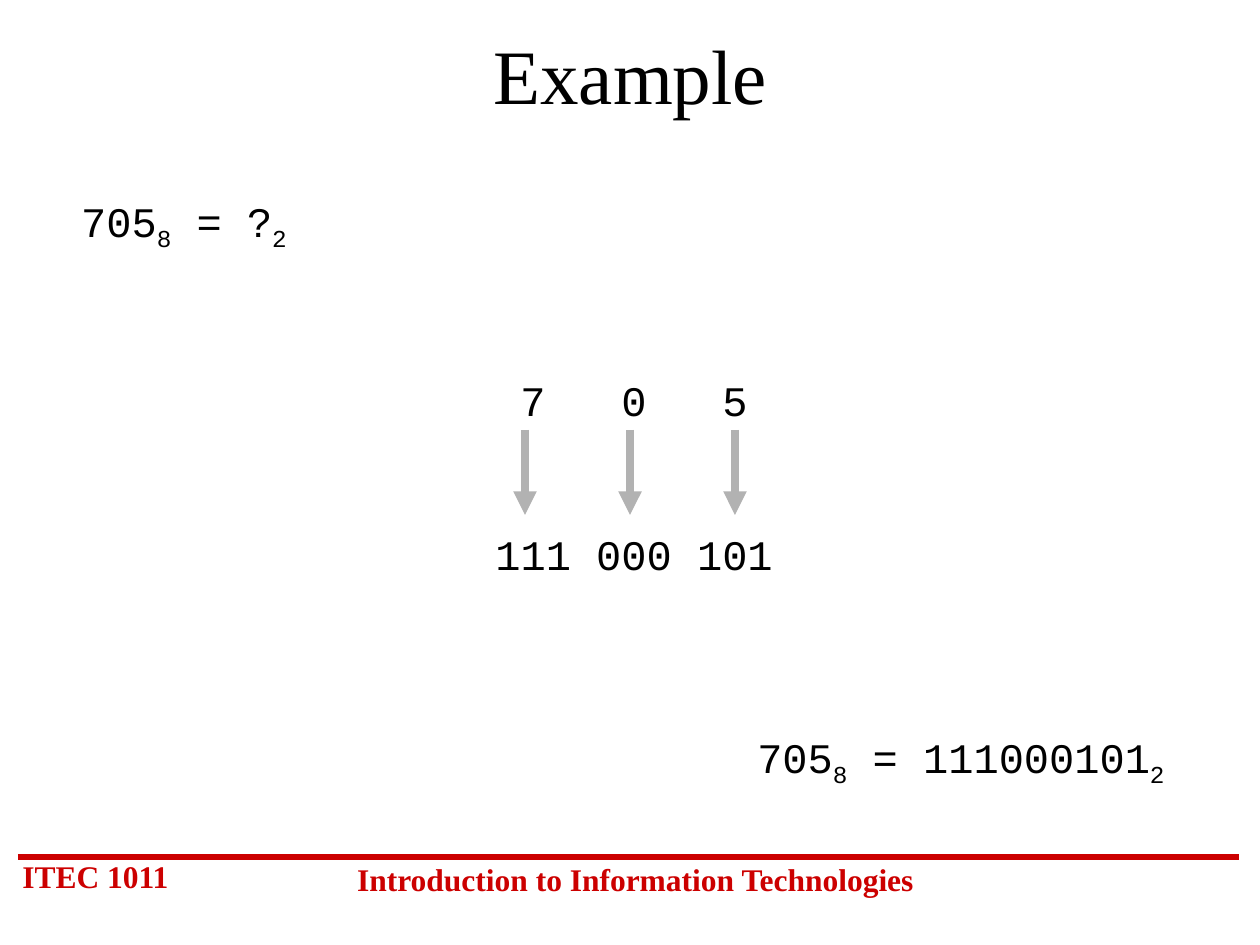
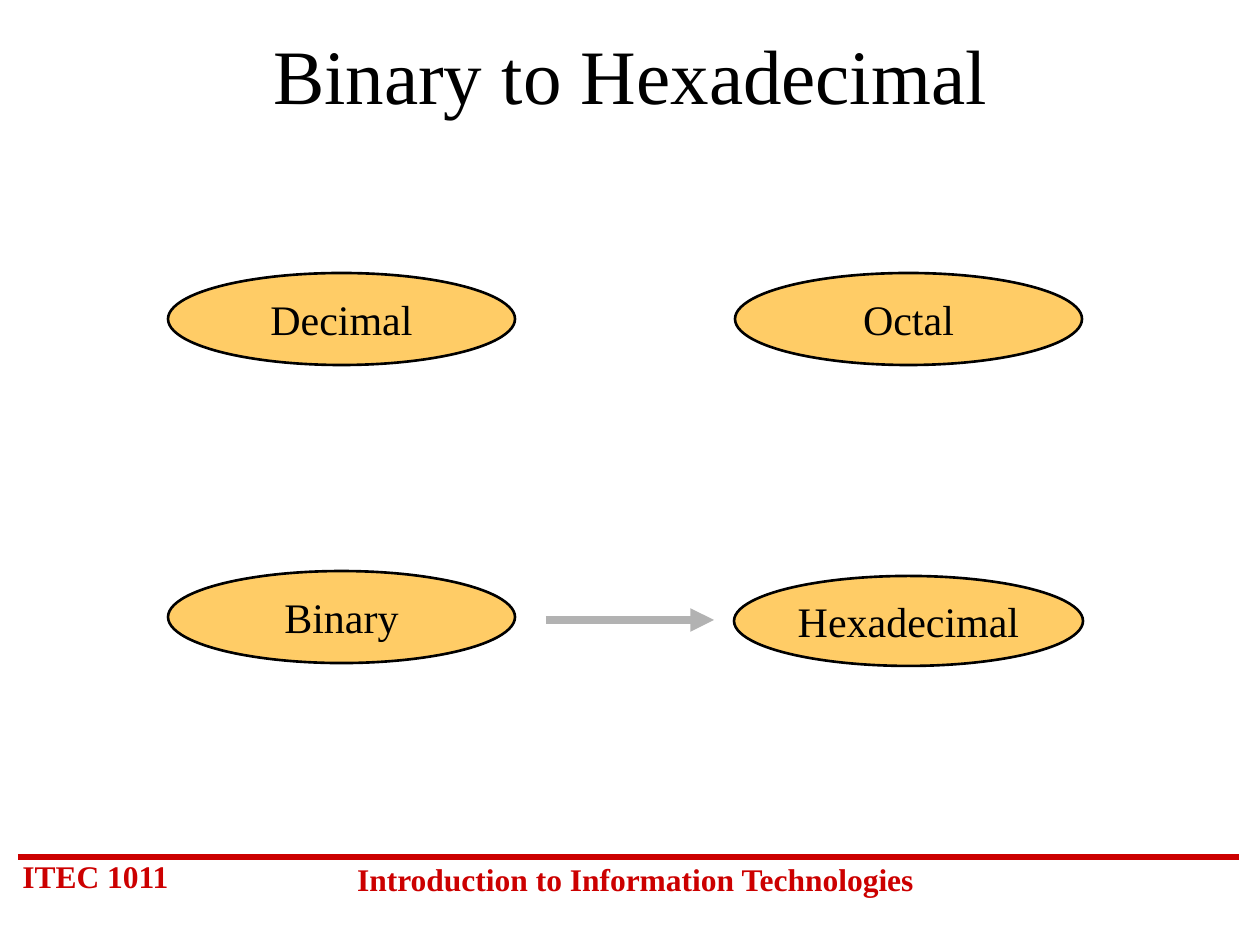
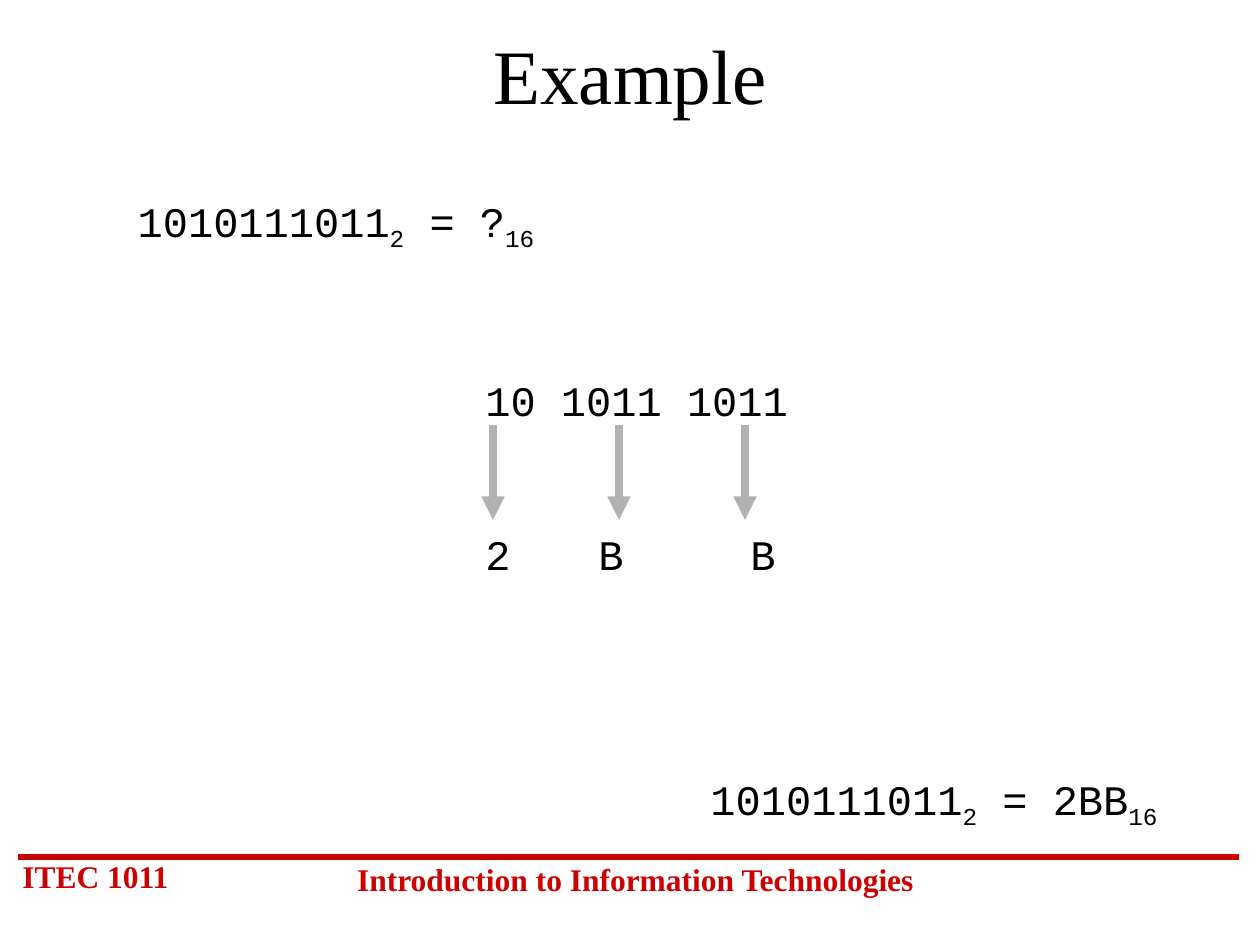
"""Build three slides on converting between number bases."""
import pptx
import pptx.dml.color
import pptx.enum.shapes
import pptx.enum.text
import pptx.oxml.ns
import pptx.util
from lxml import etree

COLORS = {"black": "000000", "red": "CC0000", "gray": "B2B2B2", "amber": "FFCC66"}
SERIF, MONO = "Times New Roman", "Courier New"
ALIGN = pptx.enum.text.PP_ALIGN
WIDTH, HEIGHT = 1260, 945
ROW_TOPS = (368, 522)

FOOTERS = [
    ("ITEC 1011", (10, 851, 189, 50), ALIGN.LEFT),
    ("Introduction to Information Technologies", (336, 854, 599, 50), ALIGN.CENTER),
]
OCTAL_EXAMPLE = {
    "title": "Example",
    "equations": [
        ([("705", "8"), (" = ?", "2")], (42, 189, 284, 71)),
        ([("705", "8"), (" = 111000101", "2")], (714, 725, 494, 71)),
    ],
    "rows_left": 483,
    "rows": [("\t7\t0\t5", (25, 126, 227)), ("111 000 101", ())],
    "arrows": {"left": 525, "step": 105, "top": 430, "bottom": 515},
}
HEX_EXAMPLE = {
    "title": "Example",
    "equations": [
        ([("1010111011", "2"), (" = ?", "16")], (42, 189, 588, 71)),
        ([("1010111011", "2"), (" = 2BB", "16")], (640, 767, 588, 71)),
    ],
    "rows_left": 473,
    "rows": [("10 1011 1011", ()), ("2\tB\tB", (113, 265))],
    "arrows": {"left": 493, "step": 126, "top": 425, "bottom": 520},
}
BASES = [
    ("Hexadecimal", (734, 576, 349, 90)),
    ("Decimal", (168, 273, 347, 92)),
    ("Octal", (735, 273, 347, 92)),
    ("Binary", (168, 571, 347, 92)),
]


def px(n):
    return pptx.util.Emu(round(n * 914400 / 126))


def rgb(name):
    return pptx.dml.color.RGBColor.from_string(COLORS[name])


def write(tf, text, size=24, font=MONO, color="black", bold=False,
          align=ALIGN.LEFT, before=0, tabs=()):
    """Write one paragraph from a string or from (base, subscript) pairs."""
    p = tf.paragraphs[0]
    p.alignment = align
    p.space_before = pptx.util.Pt(before)
    if tabs:
        tab_list = etree.SubElement(p._p.get_or_add_pPr(), pptx.oxml.ns.qn("a:tabLst"))
        for tab in tabs:
            etree.SubElement(tab_list, pptx.oxml.ns.qn("a:tab"), pos=str(px(tab)), algn="l")
    for part in [(text, "")] if isinstance(text, str) else text:
        for content, baseline in zip(part, (None, "-25000")):
            if not content:
                continue
            r = p.add_run()
            r.text = content
            r.font.size = pptx.util.Pt(size)
            r.font.name = font
            r.font.bold = bold
            r.font.color.rgb = rgb(color)
            if baseline:
                r.font._element.set("baseline", baseline)


def add_text(s, text, box, anchor=None, **fmt):
    tf = s.shapes.add_textbox(*map(px, box)).text_frame
    tf.word_wrap = True
    if anchor is None:
        tf.auto_size = pptx.enum.text.MSO_AUTO_SIZE.SHAPE_TO_FIT_TEXT
    else:
        tf.vertical_anchor = anchor
    write(tf, text, **fmt)


def add_line(s, start, end, color, width, arrow=False):
    sp = s.shapes.add_connector(pptx.enum.shapes.MSO_CONNECTOR.STRAIGHT,
                                *map(px, start + end))
    sp.line.color.rgb = rgb(color)
    sp.line.width = pptx.util.Pt(width)
    if arrow:
        etree.SubElement(sp.line._get_or_add_ln(), pptx.oxml.ns.qn("a:tailEnd"), type="triangle")
    etree.SubElement(sp._element.spPr, pptx.oxml.ns.qn("a:effectLst"))


def add_arrow(s, start, end):
    add_line(s, start, end, "gray", 4.5, arrow=True)


def add_slide(prs, title):
    s = prs.slides.add_slide(prs.slide_layouts[6])
    add_line(s, (18, 857), (1239, 857), "red", 3)
    for text, box, align in FOOTERS:
        add_text(s, text, box, size=18, font=SERIF, color="red", bold=True,
                 align=align, before=11.2)
    add_text(s, title, (95, 21, 1071, 105), anchor=pptx.enum.text.MSO_ANCHOR.MIDDLE,
             size=44, font=SERIF, align=ALIGN.CENTER)
    return s


def add_example(prs, example):
    s = add_slide(prs, example["title"])
    for text, box in example["equations"]:
        add_text(s, text, box, align=ALIGN.CENTER, before=15)
    for (text, tabs), top in zip(example["rows"], ROW_TOPS):
        add_text(s, text, (example["rows_left"], top, 368, 71), before=15, tabs=tabs)
    arrows = example["arrows"]
    for i in range(3):
        x = arrows["left"] + i * arrows["step"]
        add_arrow(s, (x, arrows["top"]), (x, arrows["bottom"]))


def add_base_map(prs):
    s = add_slide(prs, "Binary to Hexadecimal")
    for name, box in BASES:
        sp = s.shapes.add_shape(pptx.enum.shapes.MSO_SHAPE.OVAL, *map(px, box))
        sp.shadow.inherit = False
        sp.fill.solid()
        sp.fill.fore_color.rgb = rgb("amber")
        sp.line.color.rgb = rgb("black")
        sp.line.width = pptx.util.Pt(1.5)
        sp.text_frame.word_wrap = False
        sp.text_frame.vertical_anchor = pptx.enum.text.MSO_ANCHOR.MIDDLE
        write(sp.text_frame, name, font=SERIF, align=ALIGN.CENTER)
    add_arrow(s, (546, 620), (714, 620))


def main():
    prs = pptx.Presentation()
    prs.slide_width, prs.slide_height = px(WIDTH), px(HEIGHT)
    add_example(prs, OCTAL_EXAMPLE)
    add_base_map(prs)
    add_example(prs, HEX_EXAMPLE)
    prs.save("out.pptx")


if __name__ == "__main__":
    main()
